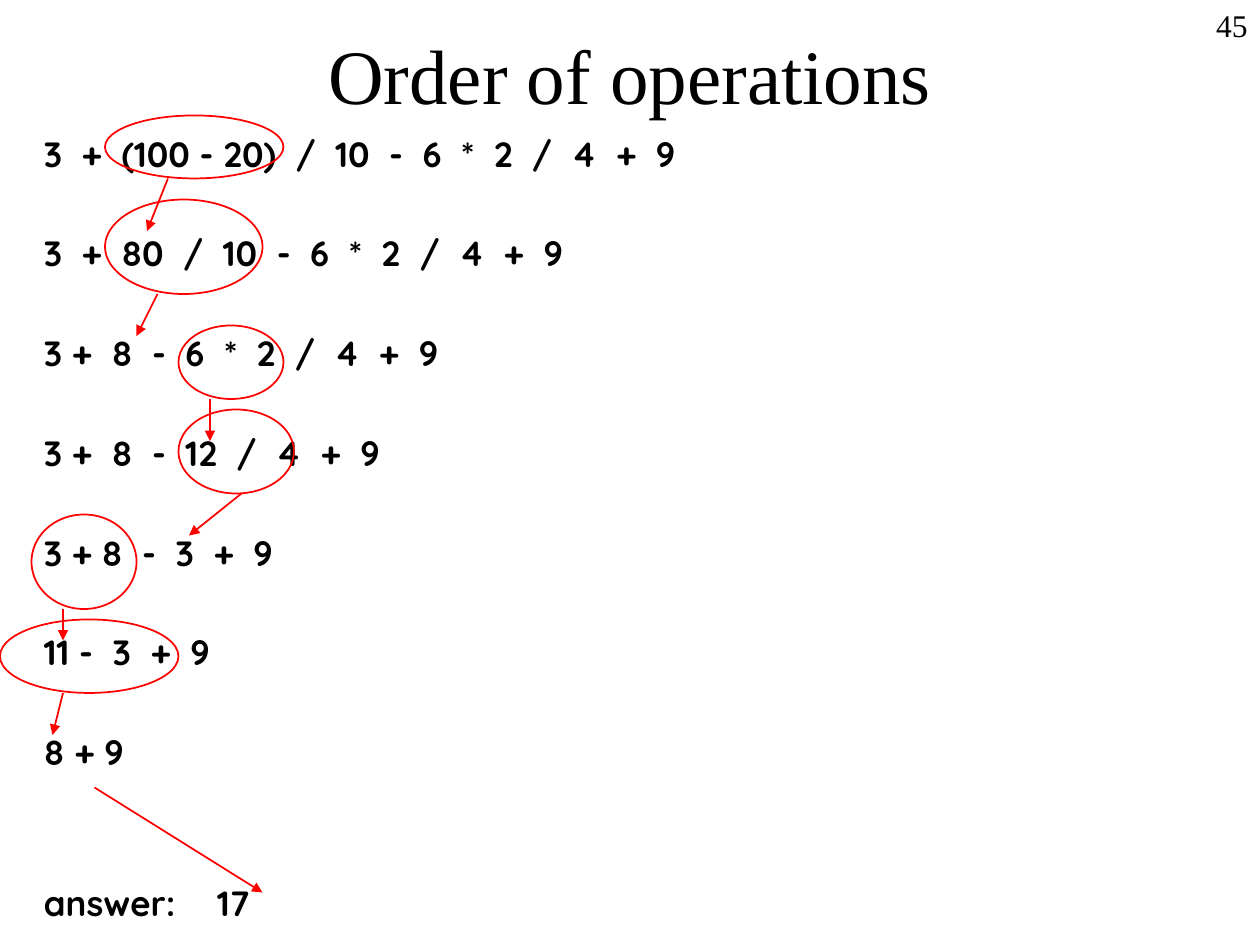
import pptx
import pptx.dml.color
import pptx.enum.shapes
import pptx.enum.text
import pptx.oxml.ns
import pptx.util
import lxml.etree

EMU_PER_PX = 7620  # 120 px to the inch
BLACK = "000000"
RED = "FF0000"
HANGING = 45
TAB_STOP = 120

# Expression and the space before it in points
STEPS = [
    ("3  +  (100 - 20)  /  10  -  6  *  2  /  4  +  9", 5),
    ("3  +  80  /  10  -  6  *  2  /  4  +  9", 33),
    ("3 +  8  -  6  *  2  /  4  +  9", 33),
    ("3 +  8  -  12  /  4  +  9", 33),
    ("3 + 8  -  3  +  9", 33),
    ("11 -  3  +  9", 33),
    ("8 + 9", 33),
    ("answer:\t17", 62),
]

# Left, top, width, height of the ring around each evaluated part
RINGS = [
    (100, 110, 170, 60),
    (100, 190, 150, 90),
    (170, 310, 100, 70),
    (170, 390, 110, 80),
    (30, 490, 100, 90),
    (0, 590, 170, 70),
]

# Start x, start y, end x, end y of the arrow to each result
ARROWS = [
    (160, 170, 140, 220),
    (150, 280, 130, 320),
    (200, 380, 200, 420),
    (230, 470, 180, 510),
    (60, 580, 60, 610),
    (60, 660, 50, 700),
    (90, 750, 250, 850),
]


def px(length):
    return pptx.util.Emu(length * EMU_PER_PX)


def color(value):
    return pptx.dml.color.RGBColor.from_string(value)


def add_child(parent, tag, **attributes):
    return lxml.etree.SubElement(parent, pptx.oxml.ns.qn(tag), attributes)


def format_paragraph(para, font, size, bold=False):
    para.font.name = font
    para.font.size = pptx.util.Pt(size)
    para.font.bold = bold
    para.font.color.rgb = color(BLACK)


def set_title(slide, text):
    title = slide.shapes.title
    title.left, title.top, title.width, title.height = map(px, (0, 10, 1200, 120))
    title.text_frame.text = text
    title.text_frame.vertical_anchor = pptx.enum.text.MSO_ANCHOR.MIDDLE
    para = title.text_frame.paragraphs[0]
    para.alignment = pptx.enum.text.PP_ALIGN.CENTER
    format_paragraph(para, "Times New Roman", 44)


def add_text_frame(slide, *bounds):
    frame = slide.shapes.add_textbox(*map(px, bounds)).text_frame
    frame.word_wrap = True
    return frame


def add_page_number(slide, text):
    para = add_text_frame(slide, 1020, 0, 180, 50).paragraphs[0]
    para.text = text
    para.alignment = pptx.enum.text.PP_ALIGN.RIGHT
    format_paragraph(para, "Times New Roman", 18)


def add_steps(slide):
    frame = add_text_frame(slide, 30, 120, 1150, 770)
    for index, (text, gap) in enumerate(STEPS):
        para = frame.add_paragraph() if index else frame.paragraphs[0]
        para.text = text
        para.space_before = pptx.util.Pt(gap)
        properties = para._p.get_or_add_pPr()
        properties.set("marL", str(px(HANGING)))
        properties.set("indent", str(px(-HANGING)))
        stops = add_child(properties, "a:tabLst")
        add_child(stops, "a:tab", pos=str(px(TAB_STOP)), algn="l")
        format_paragraph(para, "Quicksand", 20, bold=True)


def format_line(line):
    line.color.rgb = color(RED)
    line.width = pptx.util.Pt(1)


def add_ring(slide, bounds):
    ring = slide.shapes.add_shape(
        pptx.enum.shapes.MSO_SHAPE.OVAL, *map(px, bounds))
    ring.shadow.inherit = False
    ring.fill.background()
    format_line(ring.line)


def add_arrow(slide, ends):
    arrow = slide.shapes.add_connector(
        pptx.enum.shapes.MSO_CONNECTOR.STRAIGHT, *map(px, ends))
    format_line(arrow.line)
    add_child(arrow.line._get_or_add_ln(), "a:tailEnd", type="triangle")
    add_child(arrow._element.spPr, "a:effectLst")


def main():
    deck = pptx.Presentation()
    deck.slide_width, deck.slide_height = px(1200), px(900)
    slide = deck.slides.add_slide(deck.slide_layouts.get_by_name("Title Only"))
    add_page_number(slide, "45")
    set_title(slide, "Order of operations")
    add_steps(slide)
    for bounds in RINGS:
        add_ring(slide, bounds)
    for ends in ARROWS:
        add_arrow(slide, ends)
    deck.save("out.pptx")


if __name__ == "__main__":
    main()
